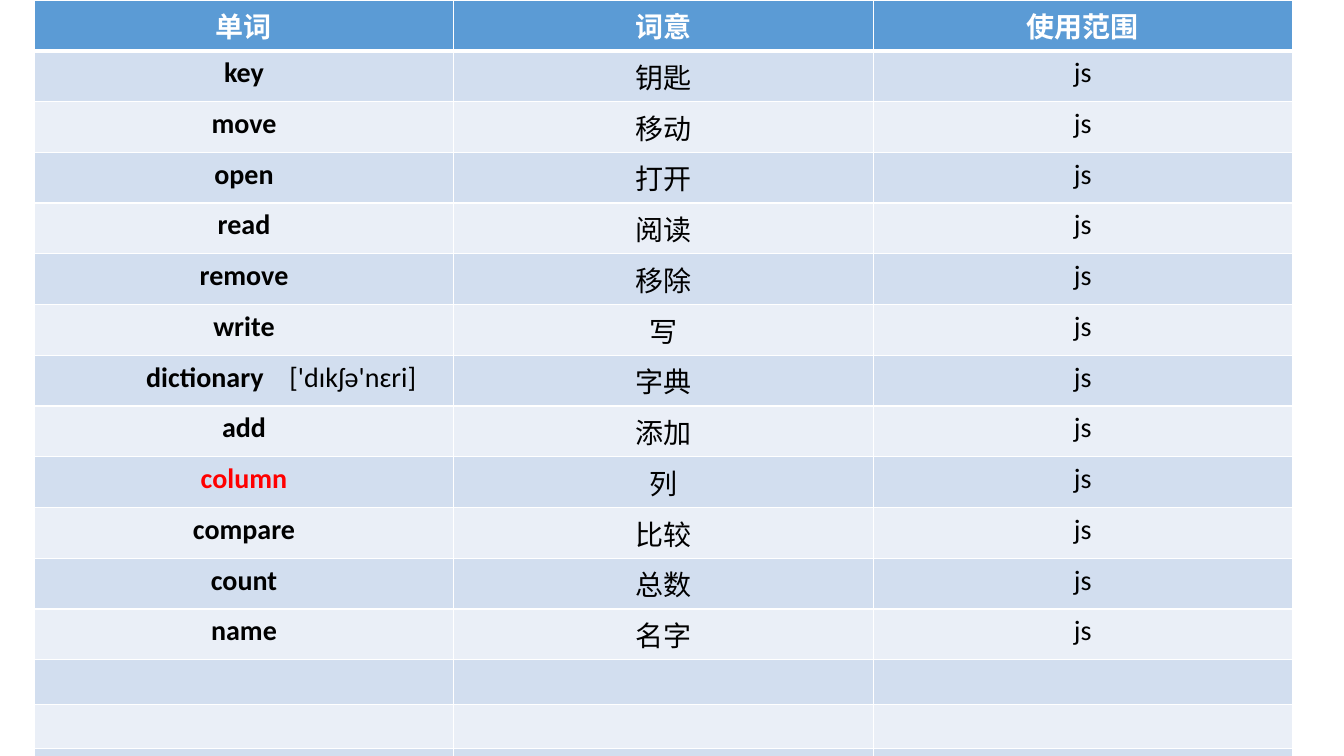
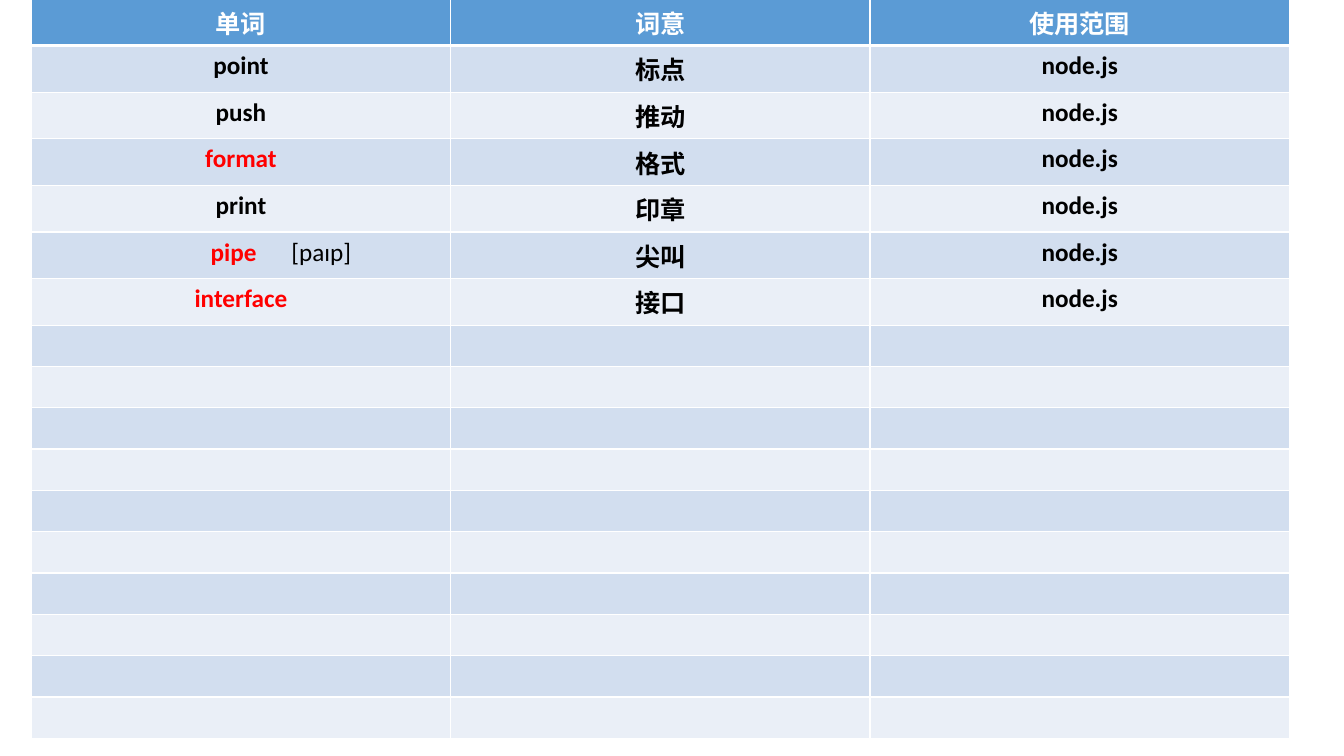
from lxml import etree
from pptx import Presentation
from pptx import util as u
from pptx.dml.color import RGBColor
from pptx.enum import text
from pptx.oxml import ns

# Shared look
WHITE = RGBColor(0xFF, 0xFF, 0xFF)
BLACK = RGBColor(0x00, 0x00, 0x00)
RED = RGBColor(0xFF, 0x00, 0x00)
BLUE = RGBColor(0x5B, 0x9B, 0xD5)
BANDS = (RGBColor(0xD2, 0xDE, 0xEF), RGBColor(0xEA, 0xEF, 0xF7))
FONT = "Calibri"
HEADS = ("单词", "词意", "使用范围")
ROWS = 17
COL = 4.16

# Word lists: red words and sounds (text, cell indent, tab stop) are keyed by word
SHEETS = (
    dict(left=0.34, top=0, size=20, head=0.33, blank=0.44, scope="js", bold=False,
         red=("column",), sounds={"dictionary": ("['dɪkʃə'nɛri]", 1.11, 1.42)},
         words=(("key", "钥匙"), ("move", "移动"), ("open", "打开"),
                ("read", "阅读"), ("remove", "移除"), ("write", "写"),
                ("dictionary", "字典"), ("add", "添加"), ("column", "列"),
                ("compare", "比较"), ("count", "总数"), ("name", "名字"))),
    dict(left=0.31, top=-0.01, size=18, head=0.37, blank=0.41, scope="node.js", bold=True,
         red=("format", "pipe", "interface"), sounds={"pipe": ("[paɪp]", 1.78, 0.8)},
         words=(("point", "标点"), ("push", "推动"), ("format", "格式"),
                ("print", "印章"), ("pipe", "尖叫"), ("interface", "接口"))),
)


def add_edges(cell, row):
    """White cell borders, thick under the heading row."""
    props = cell._tc.get_or_add_tcPr()
    thick = {(0, "B"), (1, "T")}
    for side in "LRTB":
        width = u.Pt(3 if (row, side) in thick else 1)
        line = etree.SubElement(props, ns.qn("a:ln" + side), w=str(width))
        fill = etree.SubElement(line, ns.qn("a:solidFill"))
        etree.SubElement(fill, ns.qn("a:srgbClr"), val=str(WHITE))


def add_run(para, words, size, bold, color):
    run = para.add_run()
    run.text = words
    for name, value in dict(name=FONT, size=u.Pt(size), bold=bold).items():
        setattr(run.font, name, value)
    run.font.color.rgb = color


def write(cell, words, size, bold, color):
    para = cell.text_frame.paragraphs[0]
    para.alignment = text.PP_ALIGN.CENTER
    add_run(para, words, size, bold, color)
    return para


def add_sound(cell, para, sound, size):
    """Pronunciation at a tab stop after the word."""
    words, indent, stop = sound
    cell.margin_left = u.Inches(indent)
    para.alignment = text.PP_ALIGN.LEFT
    tabs = etree.SubElement(para._p.get_or_add_pPr(), ns.qn("a:tabLst"))
    etree.SubElement(tabs, ns.qn("a:tab"), pos=str(u.Inches(stop)), algn="l")
    add_run(para, "\t" + words, size, False, BLACK)


def add_grid(slide, sheet):
    """Empty banded table."""
    used = len(sheet["words"])
    highs = [sheet["head"]] + [0.41] * used + [sheet["blank"]] * (ROWS - 1 - used)
    box = (sheet["left"], sheet["top"], COL * len(HEADS), sum(highs))
    table = slide.shapes.add_table(ROWS, len(HEADS), *map(u.Inches, box)).table
    for col in table.columns:
        col.width = u.Inches(COL)
    for row, high in enumerate(highs):
        table.rows[row].height = u.Inches(high)
        for cell in table.rows[row].cells:
            add_edges(cell, row)
            cell.fill.solid()
            cell.fill.fore_color.rgb = BANDS[(row - 1) % 2] if row else BLUE
    return table


def fill_grid(table, sheet):
    size, bold = sheet["size"], sheet["bold"]
    # Heading row
    for col, head in enumerate(HEADS):
        write(table.cell(0, col), head, size, True, WHITE)
    # Word rows
    for row, (word, sense) in enumerate(sheet["words"], 1):
        first = table.cell(row, 0)
        para = write(first, word, size, True, RED if word in sheet["red"] else BLACK)
        if word in sheet["sounds"]:
            add_sound(first, para, sheet["sounds"][word], size)
        for col, words in enumerate((sense, sheet["scope"]), 1):
            write(table.cell(row, col), words, size, bold, BLACK)


def main():
    deck = Presentation()
    deck.slide_width, deck.slide_height = u.Inches(13.33), u.Inches(7.5)
    for sheet in SHEETS:
        slide = deck.slides.add_slide(deck.slide_layouts[6])
        fill_grid(add_grid(slide, sheet), sheet)
    deck.save("out.pptx")


if __name__ == "__main__":
    main()
